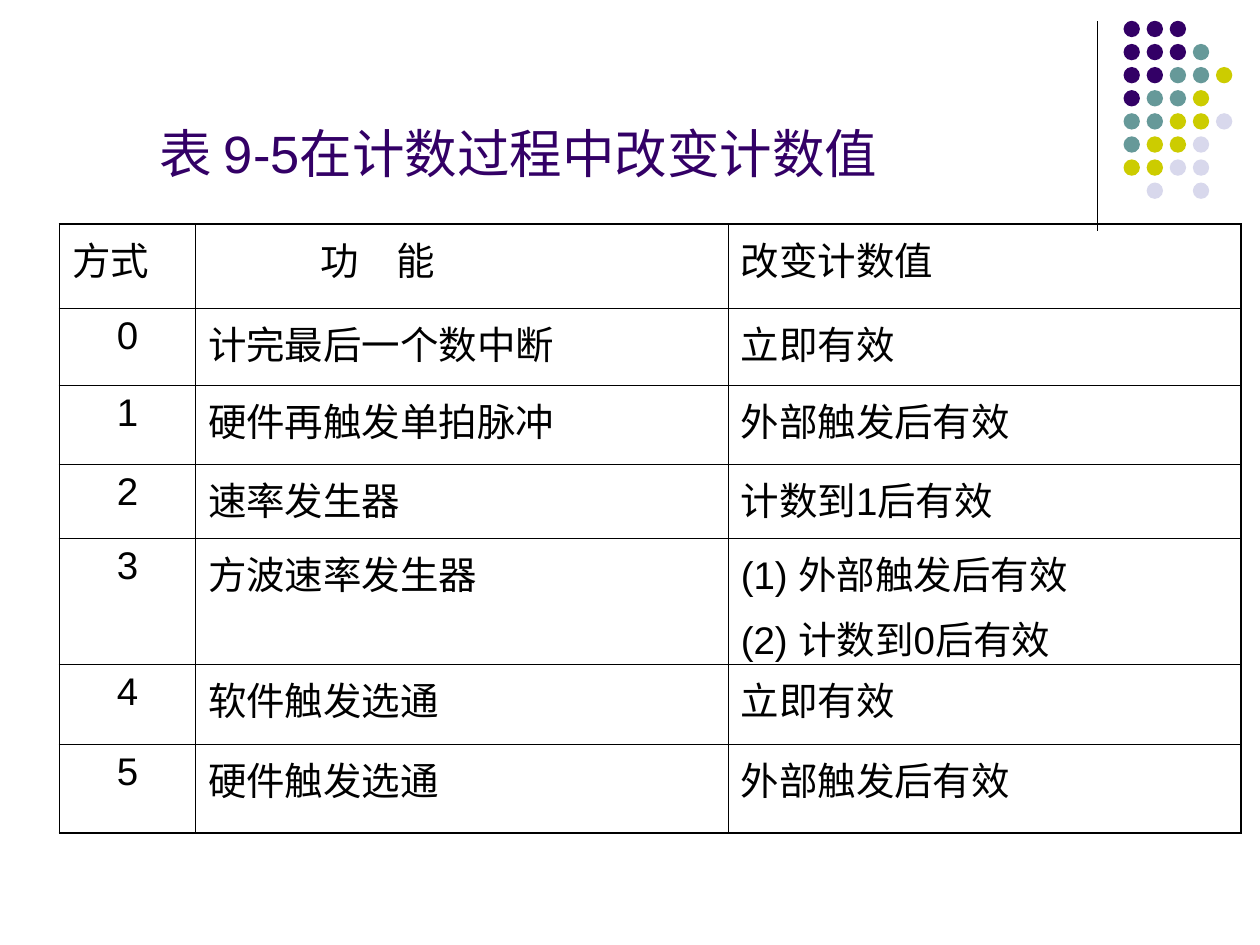
from dataclasses import dataclass

from lxml.etree import Element, SubElement
from pptx import Presentation
from pptx.dml.color import RGBColor as Rgb
from pptx.enum.shapes import MSO_CONNECTOR as Conn, MSO_SHAPE as Shape
from pptx.enum.text import MSO_ANCHOR as Anchor, PP_ALIGN as Align
from pptx.oxml.ns import qn
from pptx.util import Cm, Pt

HUE = {"ink": "000000", "plum": "330066", "teal": "669999",
       "lime": "CCCC00", "mist": "D8D8EC"}
DOTS = ["PPP", "PPPT", "PPTTL", "PTTL", "TTLLM", "TLLM", "LLMM", " M M"]
KEYS = {"P": "plum", "T": "teal", "L": "lime", "M": "mist"}
LATIN, HAN = "Arial", "Noto Sans CJK SC"
PITCH = 3.26 / 7
COLS = [2.74, 10.74, 10.34]
THIN, THICK = 0.45, 1.08


@dataclass
class Row:
    """One table row; bars split runs and newlines split paragraphs."""
    high: float
    mode: str
    role: str
    change: str


ROWS = [
    Row(1.7, "方式", "功　能", "改变计数值"),
    Row(1.55, "0", "计完最后一个数中断", "立即有效"),
    Row(1.59, "1", "硬件再触发单拍脉冲", "外部触发后有效"),
    Row(1.49, "2", "速率发生器", "计数到|1|后有效"),
    Row(2.54, "3", "方波速率发生器", "(1) |外部触发后有效\n(2) |计数到|0|后有效"),
    Row(1.62, "4", "软件触发选通", "立即有效"),
    Row(1.78, "5", "硬件触发选通", "外部触发后有效"),
]


def tint(name: str) -> Rgb:
    """Return a named colour."""
    return Rgb.from_string(HUE[name])


def write(para, text: str, size: float, hue: str) -> None:
    """Add the runs of one paragraph."""
    for part in text.split("|"):
        run = para.add_run()
        run.text = part
        font = run.font
        font.size = Pt(size)
        font.color.rgb = tint(hue)
        font.name = LATIN if part.isascii() else HAN
        SubElement(font._element, qn("a:ea"), typeface=HAN)


def edge(cell, sides: dict[str, float]) -> None:
    """Draw the four borders of a cell."""
    props = cell._tc.get_or_add_tcPr()
    for spot, (side, width) in enumerate(sides.items()):
        line = Element(qn(f"a:ln{side}"), w=str(Pt(width)))
        fill = SubElement(line, qn("a:solidFill"))
        SubElement(fill, qn("a:srgbClr"), val=HUE["ink"])
        props.insert(spot, line)


def rule(slide) -> None:
    """Draw the upright line beside the dots."""
    line = slide.shapes.add_connector(
        Conn.STRAIGHT, Cm(22.12), Cm(0.43), Cm(22.12), Cm(4.65))
    line.line.color.rgb = tint("ink")
    line.line.width = Pt(0.75)
    SubElement(line._element.spPr, qn("a:effectLst"))


def dots(slide) -> None:
    """Draw the grid of coloured dots."""
    group = slide.shapes.add_group_shape()
    for y, marks in enumerate(DOTS):
        for x, mark in enumerate(marks):
            if mark == " ":
                continue
            dot = group.shapes.add_shape(
                Shape.OVAL, Cm(22.65 + x * PITCH), Cm(0.42 + y * PITCH),
                Cm(0.33), Cm(0.33))
            dot.shadow.inherit = False
            dot.fill.solid()
            dot.fill.fore_color.rgb = tint(KEYS[mark])
            dot.line.fill.background()


def title(slide) -> None:
    """Write the slide title."""
    box = slide.shapes.add_textbox(Cm(2.97), Cm(2.39), Cm(21.64), Cm(1.45))
    frame = box.text_frame
    frame.word_wrap = True
    frame.vertical_anchor = Anchor.BOTTOM
    write(frame.paragraphs[0], "表 |9-5|在计数过程中改变计数值", 30, "plum")


def fill(cell, text: str, inset: float) -> None:
    """Write the paragraphs of a cell."""
    cell.fill.background()
    frame = cell.text_frame
    for spot, line in enumerate(text.split("\n")):
        para = frame.add_paragraph() if spot else frame.paragraphs[0]
        para.space_before = Pt(5.5)
        if line.isdigit():
            para.alignment = Align.CENTER
        props = para._p.get_or_add_pPr()
        props.set("marL", str(Cm(0.97 + inset)))
        props.set("indent", str(Cm(-0.97)))
        write(para, line, 22, "ink")


def table(slide) -> None:
    """Draw the table of counter modes."""
    grid = slide.shapes.add_table(
        len(ROWS), len(COLS), Cm(1.2), Cm(4.52), Cm(sum(COLS)),
        Cm(sum(row.high for row in ROWS))).table
    grid.first_row = grid.horz_banding = False
    for col, wide in zip(grid.columns, COLS):
        col.width = Cm(wide)
    for y, row in enumerate(ROWS):
        grid.rows[y].height = Cm(row.high)
        for x, text in enumerate((row.mode, row.role, row.change)):
            cell = grid.cell(y, x)
            fill(cell, text, 2.26 if (y, x) == (0, 1) else 0)
            outer = {"L": x == 0, "R": x == len(COLS) - 1,
                     "T": y == 0, "B": y == len(ROWS) - 1}
            edge(cell, {side: THICK if out else THIN
                        for side, out in outer.items()})


def main() -> None:
    """Build and save the slide."""
    deck = Presentation()
    deck.slide_width, deck.slide_height = Cm(25.4), Cm(19.05)
    slide = deck.slides.add_slide(deck.slide_layouts[6])
    for draw in (rule, dots, title, table):
        draw(slide)
    deck.save("out.pptx")


if __name__ == "__main__":
    main()
